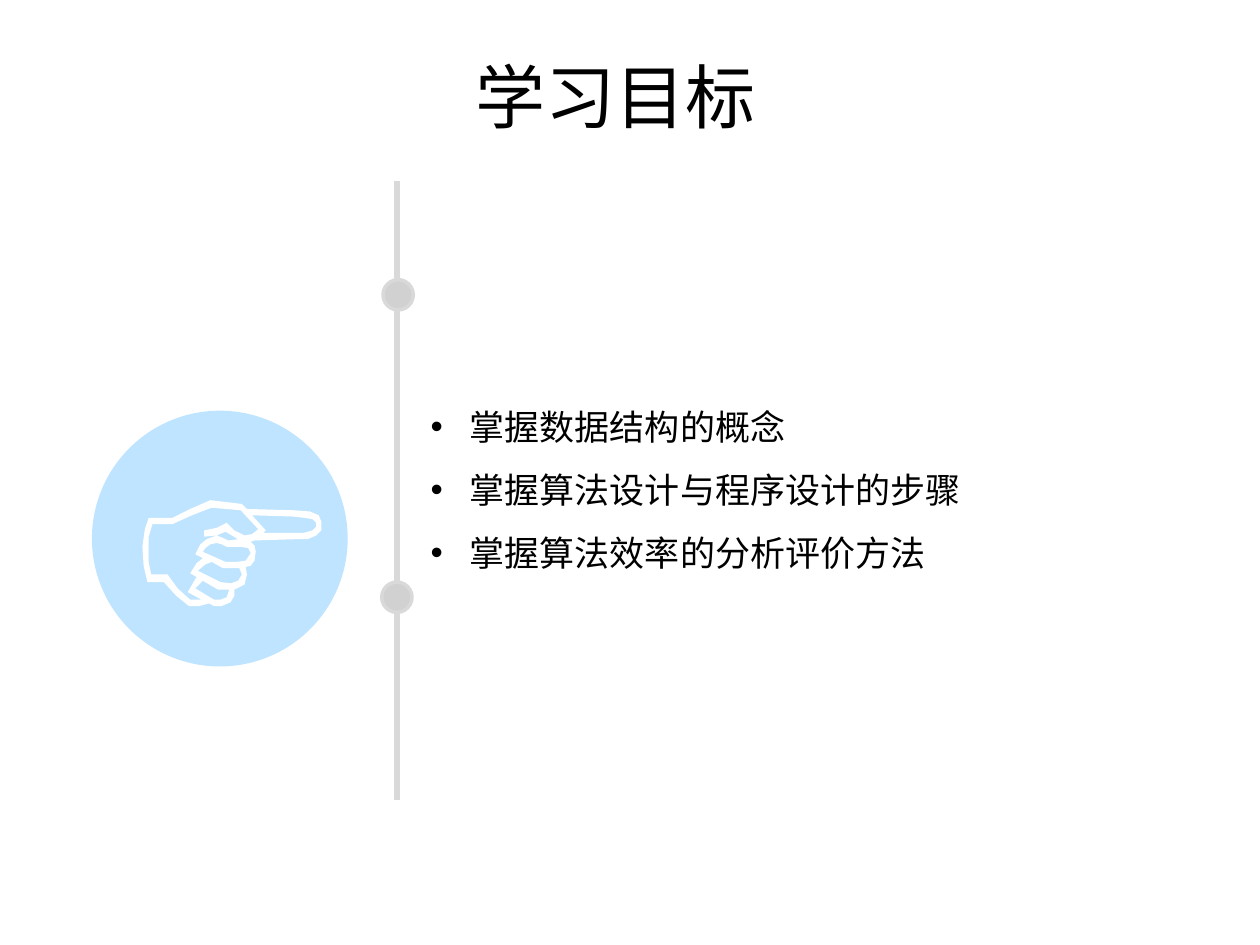
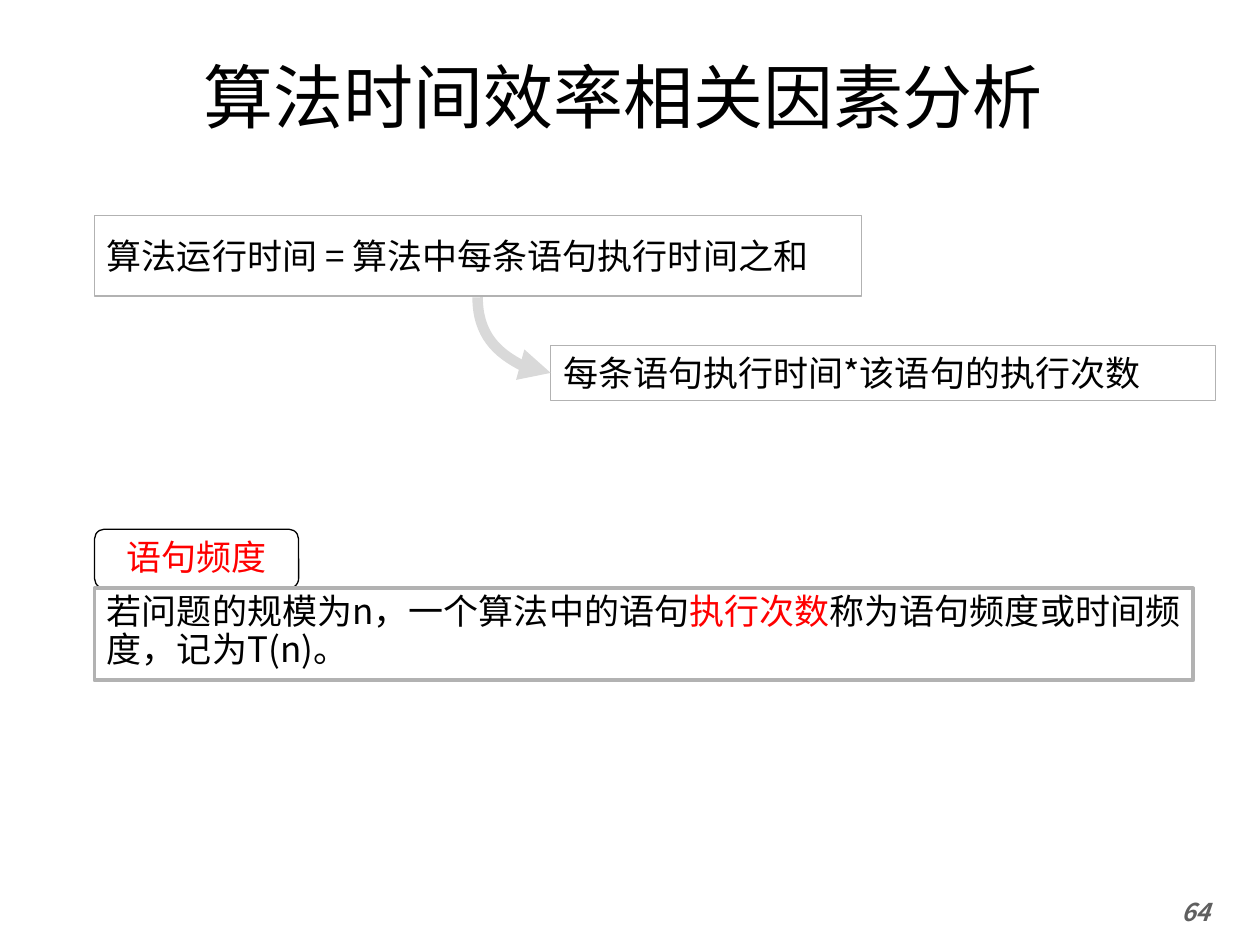
from lxml.etree import SubElement
from pptx import Presentation
from pptx.dml.color import RGBColor
from pptx.enum.shapes import MSO_CONNECTOR as Link, MSO_SHAPE as Shape
from pptx.enum.text import MSO_ANCHOR as Anchor, PP_ALIGN as Align
from pptx.oxml.ns import qn
from pptx.util import Inches, Pt

INK = {
    "black": "000000", "white": "FFFFFF", "red": "FF0000", "sky": "BFE4FF",
    "rail": "D9D9D9", "dot": "D1D1D1", "edge": "B2B2B2", "page": "5F5F5F",
}
HEAD, BODY = "Noto Sans CJK JP", "Noto Sans CJK SC"

GOALS = ["掌握数据结构的概念", "掌握算法设计与程序设计的步骤", "掌握算法效率的分析评价方法"]
DOTS = [(3.03, 4.62), (3.04, 2.22)]
TOTAL = "算法运行时间 = 算法中每条语句执行时间之和"
EACH = "每条语句执行时间*该语句的执行次数"
TERM = "语句频度"
MEANING = [
    ("若问题的规模为n，一个算法中的语句", "black"),
    ("执行次数", "red"),
    ("称为语句频度或时间频度，记为T(n)。", "black"),
]

# Hand outline points in hundredths of an inch
HAND = [
    [(161, 461), (155, 467), (170, 476), (175, 476), (180, 474), (182, 468), (173, 468)],
    [(168, 446), (163, 448), (157, 453), (175, 462), (183, 463), (189, 461), (192, 456),
     (190, 451), (177, 451)],
    [(172, 431), (167, 432), (163, 435), (161, 438), (179, 446), (188, 446), (195, 445),
     (199, 439), (197, 435), (191, 434), (180, 434), (176, 432)],
    [(200, 409), (211, 421), (209, 423), (229, 423), (241, 423), (248, 421), (251, 418),
     (251, 415), (248, 412), (241, 411), (233, 410)],
    [(168, 403), (160, 406), (150, 410), (137, 416), (121, 416), (118, 426), (118, 446),
     (120, 456), (133, 456), (141, 467), (151, 476), (160, 476), (149, 470), (156, 458),
     (151, 455), (156, 447), (161, 443), (155, 440), (159, 432), (164, 428), (172, 425),
     (177, 427), (181, 429), (189, 428), (179, 422), (172, 425), (162, 426), (162, 421),
     (172, 419), (180, 415), (186, 421), (194, 425), (200, 424), (205, 420), (191, 405)],
    [(167, 397), (192, 400), (196, 404), (233, 405), (246, 406), (253, 409), (255, 414),
     (255, 421), (251, 425), (244, 428), (234, 428), (202, 429), (199, 430), (202, 433),
     (203, 438), (202, 445), (199, 449), (195, 450), (196, 456), (194, 464), (186, 468),
     (186, 473), (183, 478), (176, 481), (170, 481), (166, 479), (158, 481), (150, 481),
     (140, 473), (130, 462), (117, 462), (114, 449), (113, 434), (115, 420), (118, 411),
     (137, 411), (151, 404)],
]


def ink(name):
    return RGBColor.from_string(INK[name])


def style(run, size, name="black", face=BODY):
    font = run.font
    font.size, font.name = Pt(size), face
    font.color.rgb = ink(name)
    SubElement(run._r.get_or_add_rPr(), qn("a:ea"), typeface=face)


def paint(shape, fill=None, edge=None, width=0.75):
    shape.shadow.inherit = False
    if fill:
        shape.fill.solid()
        shape.fill.fore_color.rgb = ink(fill)
    else:
        shape.fill.background()
    if edge:
        shape.line.color.rgb = ink(edge)
        shape.line.width = Pt(width)
    else:
        shape.line.fill.background()
    return shape


def draw(slide, kind, at, *look):
    return paint(slide.shapes.add_shape(kind, *map(Inches, at)), *look)


def write(shape, parts, align=Align.LEFT, space=None, anchor=Anchor.MIDDLE):
    frame = shape.text_frame
    frame.word_wrap, frame.vertical_anchor = True, anchor
    para = frame.paragraphs[0]
    para.alignment = align
    if space:
        para.line_spacing = space
    for text, name in parts:
        run = para.add_run()
        run.text = text
        style(run, 20, name)


def link(slide, kind, start, end, width):
    line = slide.shapes.add_connector(kind, *map(Inches, start + end))
    line.line.color.rgb = ink("rail")
    line.line.width = Pt(width)
    SubElement(line._element.spPr, qn("a:effectLst"))
    return line


def start(deck, text):
    slide = deck.slides.add_slide(deck.slide_layouts[5])
    title = slide.shapes.title
    title.left, title.top, title.width, title.height = map(Inches, (1.3, 0.37, 7.17, 0.77))
    title.text_frame.text = text
    title.text_frame.vertical_anchor = Anchor.MIDDLE
    para = title.text_frame.paragraphs[0]
    para.alignment = Align.CENTER
    style(para.runs[0], 40, face=HEAD)
    return slide


def hand(slide):
    first, *rest = HAND
    pen = slide.shapes.build_freeform(*first[0], scale=Inches(0.01))
    pen.add_line_segments(first[1:])
    for path in rest:
        pen.move_to(*path[0])
        pen.add_line_segments(path[1:])
    paint(pen.convert_to_shape(), "white")


def goals(deck):
    slide = start(deck, "学习目标")
    draw(slide, Shape.OVAL, (0.73, 3.26, 2.03, 2.03), "sky")
    link(slide, Link.STRAIGHT, (3.15, 1.44), (3.15, 6.35), 3)
    for dot in DOTS:
        draw(slide, Shape.OVAL, dot + (0.24, 0.24), "dot", "rail", 2)
    frame = slide.shapes.add_textbox(*map(Inches, (2.82, 3, 6.46, 1.62))).text_frame
    frame.word_wrap = True
    frame.text = "\n".join(GOALS)
    for para in frame.paragraphs:
        para.line_spacing = 1.5
        props = para._p.get_or_add_pPr()
        props.set("marL", str(Inches(0.81)))
        props.set("indent", str(Inches(-0.31)))
        SubElement(props, qn("a:buFont"), typeface="Arial")
        SubElement(props, qn("a:buChar"), char="•")
        style(para.runs[0], 20)
    hand(slide)


def bend(slide, top, low):
    line = link(slide, Link.CURVE, (3.79, 2.35), (4.37, 2.96), 6)
    line.begin_connect(top, 2)
    line.end_connect(low, 1)
    line.left, line.top, line.width, line.height = map(Inches, (3.78, 2.37, 0.6, 0.58))
    props = line._element.spPr
    props.find(qn("a:prstGeom")).set("prst", "curvedConnector2")
    form = props.find(qn("a:xfrm"))
    form.set("rot", str(270 * 60000))
    form.set("flipH", "1")
    SubElement(props.find(qn("a:ln")), qn("a:tailEnd"), type="triangle")


def timing(deck):
    slide = start(deck, " 算法时间效率相关因素分析")
    top = draw(slide, Shape.RECTANGLE, (0.75, 1.71, 6.09, 0.64), "white", "edge")
    low = draw(slide, Shape.RECTANGLE, (4.37, 2.74, 5.28, 0.44), "white", "edge")
    write(top, [(TOTAL, "black")])
    write(low, [(EACH, "black")])
    bend(slide, top, low)

    page = slide.shapes.add_textbox(*map(Inches, (8.98, 7.07, 1.02, 0.43))).text_frame
    page.word_wrap = True
    page.text = "64"
    para = page.paragraphs[0]
    para.alignment = Align.CENTER
    run = para.runs[0]
    style(run, 14, "page")
    run.font.bold = run.font.italic = True

    tab = draw(slide, Shape.ROUNDED_RECTANGLE, (0.75, 4.2, 1.62, 0.47), None, "black")
    write(tab, [(TERM, "red")], Align.CENTER, 0.9)
    box = draw(slide, Shape.RECTANGLE, (0.75, 4.67, 8.72, 0.73), "white", "edge", 2.25)
    write(box, MEANING, space=0.9, anchor=Anchor.TOP)


def main():
    deck = Presentation()
    deck.slide_width, deck.slide_height = Inches(10), Inches(7.5)
    goals(deck)
    timing(deck)
    deck.save("out.pptx")


if __name__ == "__main__":
    main()
